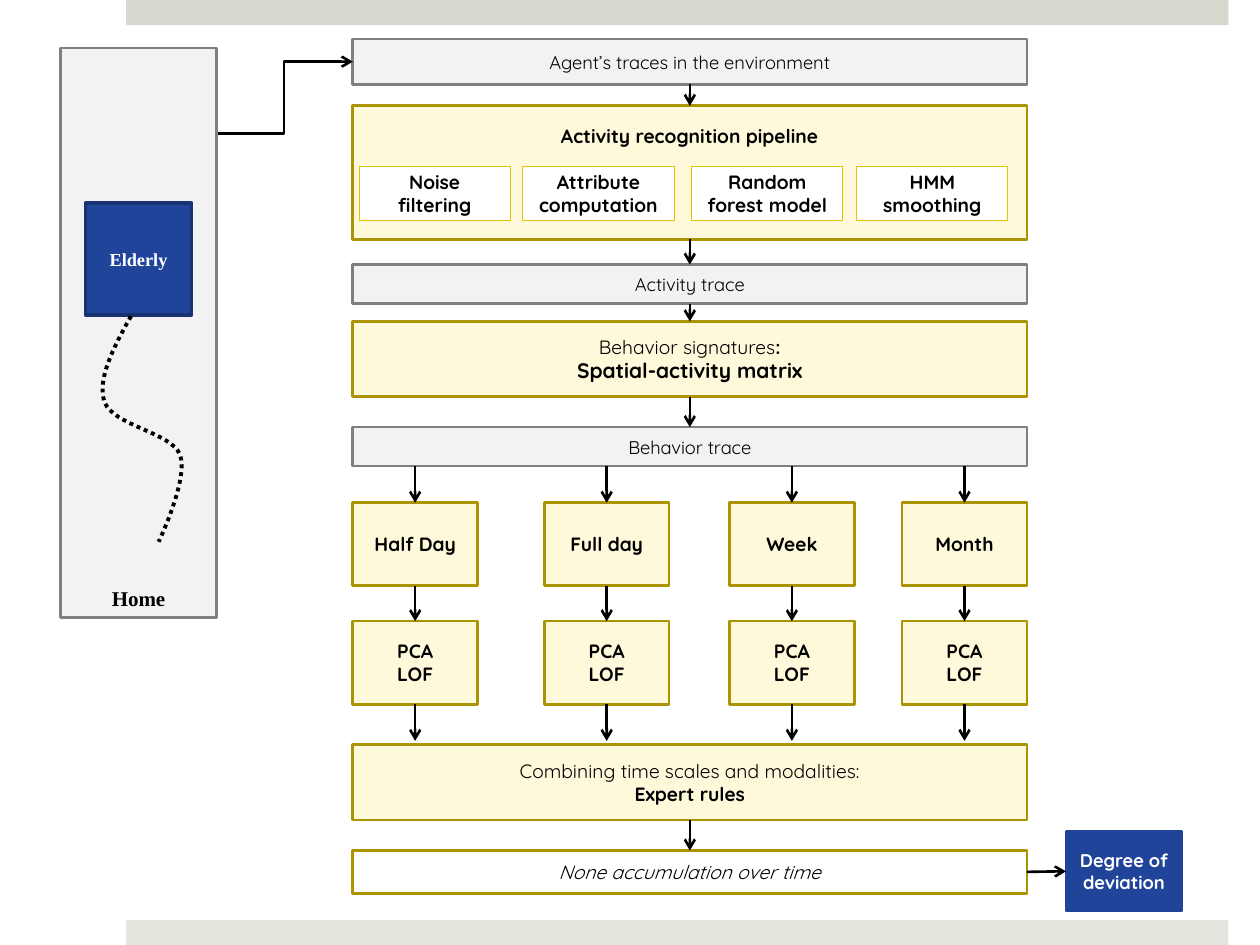
from dataclasses import dataclass

from lxml.etree import SubElement
from pptx import Presentation
from pptx.dml.color import RGBColor
from pptx.enum.dml import MSO_LINE
from pptx.enum.shapes import MSO_CONNECTOR as CONNECTOR, MSO_SHAPE as SHAPE
from pptx.enum.text import MSO_ANCHOR as ANCHOR, PP_ALIGN as ALIGN
from pptx.oxml.ns import qn
from pptx.util import Inches, Pt


@dataclass(frozen=True)
class Theme:
    sans: str = "Quicksand"
    serif: str = "Times New Roman"
    black: str = "000000"
    white: str = "FFFFFF"
    gray: str = "F2F2F2"
    gray_edge: str = "808080"
    yellow: str = "FEE658"
    yellow_alpha: int = 22
    gold: str = "AB9301"
    step_edge: str = "E4C402"
    blue: str = "21449B"
    navy: str = "183273"
    top_band: str = "D6D9CD"
    bottom_band: str = "E4E6DE"
    small: float = 10.5
    body: float = 11
    large: float = 12


@dataclass(frozen=True)
class Box:
    fill: str | None
    edge: str | None
    weight: float = 1.5
    alpha: int = 100


@dataclass(frozen=True)
class Line:
    runs: tuple
    size: float = Theme.body
    bold: bool = False
    italic: bool = False
    color: str = Theme.black
    font: str = Theme.sans


T = Theme()
DATA = Box(T.gray, T.gray_edge)
PROCESS = Box(T.yellow, T.gold, alpha=T.yellow_alpha)
STEP = Box(T.white, T.step_edge, 0.5)
OUTLINE = Box(None, T.gold)
RESULT = Box(T.blue, T.blue)
PERSON = Box(T.blue, T.navy, 2)


def plain(text, **style):
    return Line(((text, None),), **style)


def strong(text, **style):
    return plain(text, bold=True, **style)


MAIN_LEFT, MAIN_WIDTH = 2.8, 5.35
STAGES = {
    "traces": (0.31, 0.36, DATA, [plain("Agent’s traces in the environment", size=T.small)]),
    "pipeline": (0.84, 1.06, PROCESS, [strong("Activity recognition pipeline")]),
    "activity": (2.1, 0.31, DATA, [plain("Activity trace", size=T.small)]),
    "signatures": (2.55, 0.6, PROCESS, [
        Line((("Behavior signatures", False), (":", True))),
        strong("Spatial-activity matrix", size=T.large)]),
    "behavior": (3.39, 0.31, DATA, [plain("Behavior trace", size=T.small)]),
    "rules": (5.91, 0.6, PROCESS, [
        plain("Combining time scales and modalities:"), strong("Expert rules")]),
    "accumulation": (6.75, 0.34, OUTLINE, [plain("None accumulation over time", italic=True)]),
}
FLOW = [("traces", "pipeline"), ("pipeline", "activity"), ("activity", "signatures"),
        ("signatures", "behavior"), ("rules", "accumulation")]
STEPS = [("Noise filtering", 2.85), ("Attribute computation", 4.15),
         ("Random forest model", 5.49), ("HMM smoothing", 6.8)]
SCALES = [("Half Day", 2.8), ("Full day", 4.32), ("Week", 5.79), ("Month", 7.16)]
SCALE_WIDTH, SCALE_HEIGHT = 0.99, 0.66
SCALE_TOP, MODEL_TOP, MODEL_ARROW_END = 3.99, 4.93, 5.88
PATH_START = (1.04, 2.51)
PATH_CURVES = [
    ((0.9, 2.76), (0.77, 3.01), (0.83, 3.19)),
    ((0.9, 3.38), (1.36, 3.43), (1.43, 3.61)),
    ((1.5, 3.8), (1.26, 4.3), (1.26, 4.3)),
]
CURVE_PIECES = 16

prs = Presentation()
prs.slide_width, prs.slide_height = Inches(10), Inches(7.5)
shapes = prs.slides.add_slide(prs.slide_layouts[6]).shapes


def rgb(color):
    return RGBColor.from_string(color)


def write(shape, lines, anchor, side, top):
    frame = shape.text_frame
    frame.word_wrap = True
    frame.vertical_anchor = anchor
    frame.margin_left = frame.margin_right = Inches(side)
    frame.margin_top = Inches(top)
    for index, line in enumerate(lines):
        paragraph = frame.add_paragraph() if index else frame.paragraphs[0]
        paragraph.alignment = ALIGN.CENTER
        font = paragraph.font
        font.name, font.size = line.font, Pt(line.size)
        font.bold, font.italic = line.bold, line.italic
        font.color.rgb = rgb(line.color)
        for text, bold in line.runs:
            run = paragraph.add_run()
            run.text = text
            if bold is not None:
                run.font.bold = bold


def add_box(left, top, width, height, style, lines=(), anchor=ANCHOR.MIDDLE,
            side=0.1, inset_top=0.05):
    box = shapes.add_shape(SHAPE.RECTANGLE, *map(Inches, (left, top, width, height)))
    box.shadow.inherit = False
    if style.fill:
        box.fill.solid()
        box.fill.fore_color.rgb = rgb(style.fill)
        if style.alpha < 100:
            color = box.fill._xPr.find(".//" + qn("a:srgbClr"))
            SubElement(color, qn("a:alpha"), val=str(style.alpha * 1000))
    else:
        box.fill.background()
    if style.edge:
        box.line.color.rgb = rgb(style.edge)
        box.line.width = Pt(style.weight)
    else:
        box.line.fill.background()
    if lines:
        write(box, lines, anchor, side, inset_top)
    return box


def add_arrow(start, end, source=None, target=None, kind=CONNECTOR.STRAIGHT):
    arrow = shapes.add_connector(kind, *map(Inches, (*start, *end)))
    if source:
        arrow.begin_connect(*source)
    if target:
        arrow.end_connect(*target)
    arrow.line.color.rgb = rgb(T.black)
    arrow.line.width = Pt(1.5)
    SubElement(arrow.line._get_or_add_ln(), qn("a:tailEnd"), type="arrow")
    SubElement(arrow._element.spPr, qn("a:effectLst"))


def curve_points(start, curves):
    for first, second, end in curves:
        for piece in range(1, CURVE_PIECES + 1):
            t = piece / CURVE_PIECES
            weights = ((1 - t) ** 3, 3 * t * (1 - t) ** 2, 3 * t * t * (1 - t), t ** 3)
            yield tuple(Inches(sum(w * value for w, value in zip(weights, axis)))
                        for axis in zip(start, first, second, end))
        start = end


for band_top, band_color in ((0, T.top_band), (7.3, T.bottom_band)):
    add_box(1, band_top, 8.75, 0.2, Box(band_color, None))

stage = {}
for key, (top, height, style, lines) in STAGES.items():
    heading = {"anchor": ANCHOR.TOP, "inset_top": 0.15} if key == "pipeline" else {}
    stage[key] = add_box(MAIN_LEFT, top, MAIN_WIDTH, height, style, lines, **heading)
for source, target in FLOW:
    add_arrow((0, 0), (0, 0), (stage[source], 2), (stage[target], 0))

for step, left in STEPS:
    add_box(left, 1.32, 1.2, 0.43, STEP, [strong(step)])

for scale, left in SCALES:
    center = left + SCALE_WIDTH / 2
    period = add_box(left, SCALE_TOP, SCALE_WIDTH, SCALE_HEIGHT, PROCESS, [strong(scale)])
    model = add_box(left, MODEL_TOP, SCALE_WIDTH, SCALE_HEIGHT, PROCESS,
                    [strong("PCA"), strong("LOF")])
    add_arrow((center, 3.7), (center, SCALE_TOP), target=(period, 0))
    add_arrow((0, 0), (0, 0), (period, 2), (model, 0))
    add_arrow((center, MODEL_TOP + SCALE_HEIGHT), (center, MODEL_ARROW_END), source=(model, 2))

deviation = add_box(8.46, 6.6, 0.92, 0.63, RESULT,
                    [strong("Degree of deviation", size=T.small, color=T.white)], side=0.05)
add_arrow((0, 0), (0, 0), (stage["accumulation"], 3), (deviation, 1))

add_arrow((1.71, 1.06), (2.8, 0.49), target=(stage["traces"], 1), kind=CONNECTOR.ELBOW)
add_box(0.48, 0.38, 1.24, 4.52, DATA,
        [strong("Home", size=T.large, font=T.serif)], anchor=ANCHOR.BOTTOM)
add_box(0.68, 1.61, 0.84, 0.89, PERSON,
        [strong("Elderly", size=T.small, color=T.white, font=T.serif)])

builder = shapes.build_freeform(*map(Inches, PATH_START))
builder.add_line_segments(curve_points(PATH_START, PATH_CURVES), close=False)
walk = builder.convert_to_shape()
walk.shadow.inherit = False
walk.fill.background()
walk.line.color.rgb = rgb(T.black)
walk.line.width = Pt(2.25)
walk.line.dash_style = MSO_LINE.ROUND_DOT

prs.save("out.pptx")
